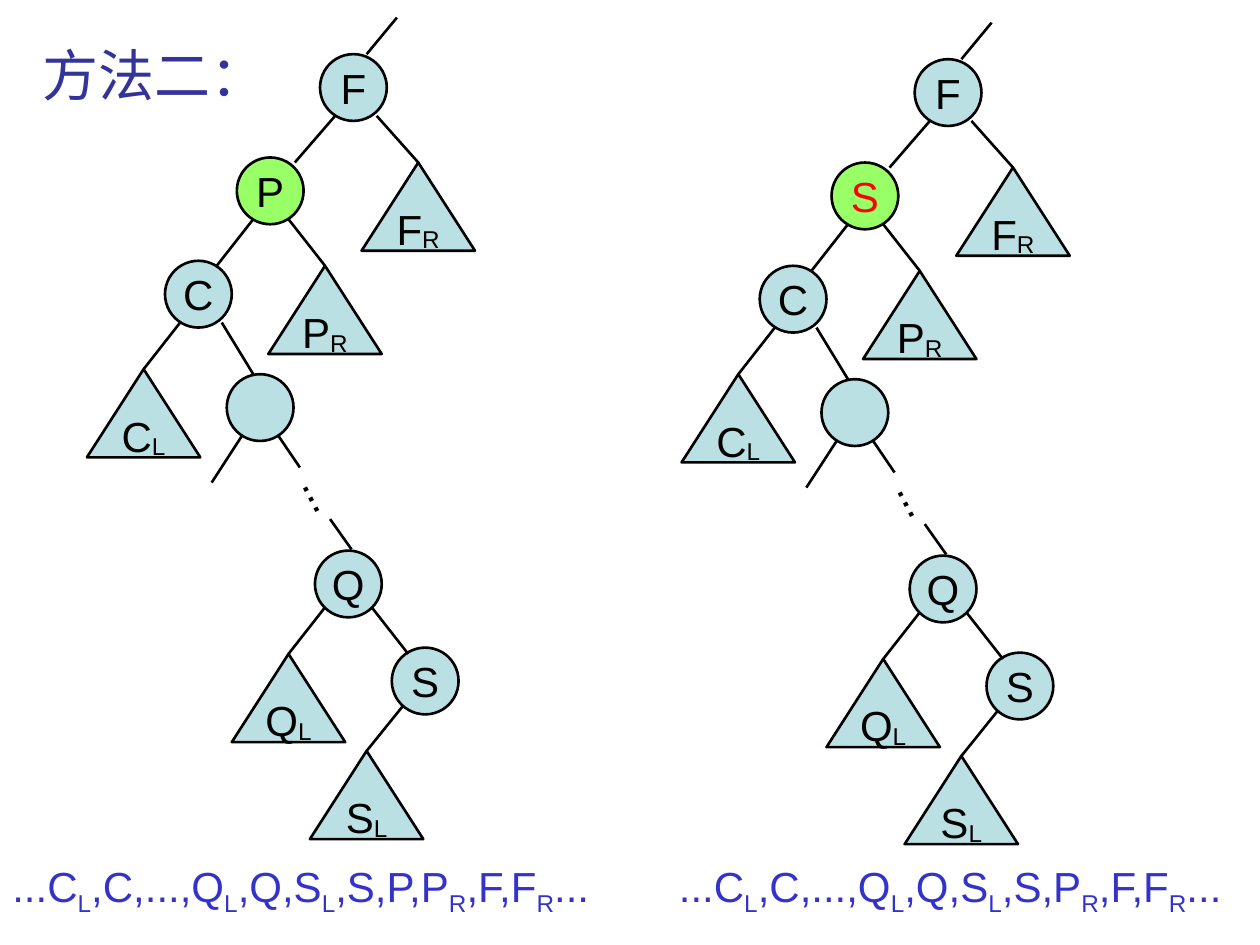
from pptx import Presentation
from pptx.dml.color import RGBColor
from pptx.enum.shapes import MSO_CONNECTOR, MSO_SHAPE
from pptx.enum.text import MSO_ANCHOR, PP_ALIGN
from pptx.oxml.ns import qn
from pptx.util import Inches, Pt
from lxml.etree import SubElement

COLORS = {
    "node": "BBE0E3",
    "changed": "99FF66",
    "black": "000000",
    "red": "FF0000",
    "title": "333399",
    "sequence": "3333CC",
}
FONT = "Arial"
CIRCLE = 0.53
TRIANGLE_WIDTH, TRIANGLE_HEIGHT = 0.9, 0.7

# Circles: label, left, top
NODES = [
    ("F", 2.54, 0.43),
    ("C", 1.31, 2.07),
    ("", 1.8, 2.97),
    ("Q", 2.5, 4.37),
    ("S", 3.11, 5.14),
]
REPLACED_NODE = (1.88, 1.25)

# Subtrees: label, start of the branch, apex of the triangle
SUBTREES = [
    ("F_R", (2.99, 0.92), (3.32, 1.29)),
    ("P_R", (2.29, 1.74), (2.58, 2.11)),
    ("C_L", (1.43, 2.56), (1.14, 2.93)),
    ("Q_L", (2.58, 4.82), (2.29, 5.19)),
    ("S_L", (3.2, 5.6), (2.91, 5.96)),
]

# Branches between circles, and open ends
BRANCHES = [
    ((3.15, 0.14), (2.91, 0.43)),
    ((2.66, 0.92), (2.34, 1.29)),
    ((2.01, 1.74), (1.72, 2.11)),
    ((1.76, 2.56), (2.01, 2.97)),
    ((1.92, 3.46), (1.68, 3.83)),
    ((2.21, 3.46), (2.38, 3.71)),
    ((2.62, 4.12), (2.79, 4.36)),
    ((2.95, 4.82), (3.24, 5.19)),
]


def color(name):
    return RGBColor.from_string(COLORS[name])


def write_text(frame, text, size, color_name, subscript=-25):
    """Write one paragraph; an underscore lowers the character after it."""
    para = frame.paragraphs[0]
    para.font.name = FONT
    para.font.size = Pt(size)
    para.font.color.rgb = color(color_name)
    first, *others = text.split("_")
    para.add_run().text = first
    for piece in others:
        span = para.add_run()
        span.text = piece[0]
        span.font._element.set("baseline", str(subscript * 1000))
        if piece[1:]:
            para.add_run().text = piece[1:]
    return para


def add_text(shapes, text, left, top, width, height, size, color_name):
    box = shapes.add_textbox(Inches(left), Inches(top), Inches(width), Inches(height))
    box.text_frame.word_wrap = True
    write_text(box.text_frame, text, size, color_name)
    return box


def add_tree_shape(shapes, kind, label, left, top, width, height,
                   fill="node", text_color="black"):
    shape = shapes.add_shape(kind, Inches(left), Inches(top),
                             Inches(width), Inches(height))
    shape.shadow.inherit = False
    shape.fill.solid()
    shape.fill.fore_color.rgb = color(fill)
    shape.line.color.rgb = color("black")
    shape.line.width = Pt(1.5)
    if label:
        frame = shape.text_frame
        frame.word_wrap = False
        frame.vertical_anchor = MSO_ANCHOR.MIDDLE
        para = write_text(frame, label, 24, text_color, subscript=-8)
        para.alignment = PP_ALIGN.CENTER
    return shape


def add_circle(shapes, label, left, top, **style):
    add_tree_shape(shapes, MSO_SHAPE.OVAL, label, left, top, CIRCLE, CIRCLE, **style)


def add_branch(shapes, start, end):
    branch = shapes.add_connector(MSO_CONNECTOR.STRAIGHT,
                                  *[Inches(value) for value in (*start, *end)])
    branch.line.color.rgb = color("black")
    branch.line.width = Pt(1.5)
    SubElement(branch._element.spPr, qn("a:effectLst"))
    return branch


def add_subtree(shapes, label, start, apex):
    triangle = add_tree_shape(shapes, MSO_SHAPE.ISOSCELES_TRIANGLE, label,
                              apex[0] - TRIANGLE_WIDTH / 2, apex[1],
                              TRIANGLE_WIDTH, TRIANGLE_HEIGHT)
    add_branch(shapes, start, apex).end_connect(triangle, 0)


def add_tree(page, replaced_label, replaced_color, shift_x=0, shift_y=0):
    def moved(point):
        return point[0] + shift_x, point[1] + shift_y

    shapes = page.shapes.add_group_shape().shapes
    for label, left, top in NODES:
        add_circle(shapes, label, *moved((left, top)))
    add_circle(shapes, replaced_label, *moved(REPLACED_NODE),
               fill="changed", text_color=replaced_color)
    for label, start, apex in SUBTREES:
        add_subtree(shapes, label, moved(start), moved(apex))
    for start, end in BRANCHES:
        add_branch(shapes, moved(start), moved(end))
    dots = add_text(shapes, "...", *moved((2.32, 3.69)), 0.53, 0.5, 24, "black")
    dots.rotation = 63.5


def main():
    deck = Presentation()
    deck.slide_width, deck.slide_height = Inches(10), Inches(7.5)
    page = deck.slides.add_slide(deck.slide_layouts[6])

    # Title
    add_text(page.shapes, "方法二：", 0.24, 0.27, 2.05, 0.64, 32, "title")

    # Trees before and after deletion
    add_tree(page, "P", "black")
    add_tree(page, "S", "red", shift_x=4.72, shift_y=0.04)

    # In-order sequences
    add_text(page.shapes, "...C_L,C,...,Q_L,Q,S_L,S,P,P_R,F,F_R...",
             0, 6.78, 5, 0.56, 24, "sequence")
    add_text(page.shapes, "...C_L,C,...,Q_L,Q,S_L,S,P_R,F,F_R...",
             5.29, 6.78, 4.63, 0.56, 24, "sequence")

    deck.save("out.pptx")


if __name__ == "__main__":
    main()
